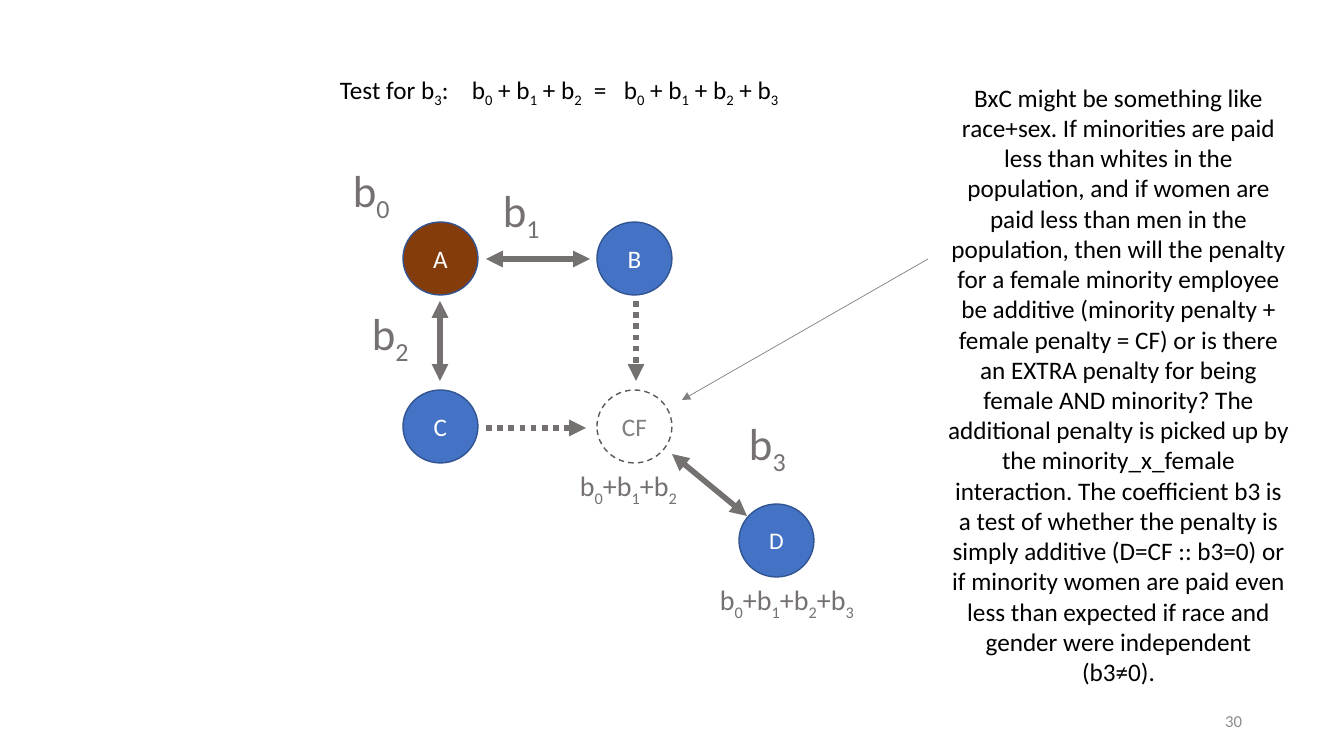
from lxml.etree import SubElement
from pptx import Presentation
from pptx.dml.color import RGBColor
from pptx.enum.dml import MSO_LINE
from pptx.enum.shapes import MSO_CONNECTOR, MSO_SHAPE
from pptx.enum.text import MSO_ANCHOR, PP_ALIGN
from pptx.oxml.ns import qn
from pptx.util import Pt

COLORS = {
    "brown": "843C0B", "blue": "4472C4", "outline": "325491", "white": "FFFFFF",
    "gray": "767171", "dash": "595959", "mid": "808080", "black": "000000",
    "number": "8C8C8C",
}

# Content: an underscore in a formula lowers the character after it
COLUMNS, ROWS = (403, 597), (222, 390)
NODE_WIDTH, NODE_HEIGHT = 75, 73
NODES = [  # text, left, top, fill, line, font colour, size
    ("A", COLUMNS[0], ROWS[0], "brown", "outline", "white", 18),
    ("B", COLUMNS[1], ROWS[0], "blue", "outline", "white", 18),
    ("C", COLUMNS[0], ROWS[1], "blue", "outline", "white", 18),
    ("D", 739, 504, "blue", "outline", "white", 17),
    ("CF", COLUMNS[1], ROWS[1], None, "dash", "mid", 18),
]
ARROWS = [  # start, end, colour, width, dotted, two-headed
    ((486, 259), (590, 259), "gray", 4, False, True),
    ((672, 454), (747, 516), "gray", 4, False, True),
    ((440, 301), (440, 381), "gray", 4, False, True),
    ((636, 301), (636, 381), "gray", 4, True, False),
    ((486, 428), (586, 428), "gray", 4, True, False),
    ((928, 259), (682, 400), "mid", 0.5, False, False),
]
FORMULAS = [  # text, left, top, width, height, size, colour
    ("b_0", 343, 158, 59, 65, 32, "gray"),
    ("b_1", 493, 178, 59, 65, 32, "gray"),
    ("b_2", 362, 301, 59, 65, 32, "gray"),
    ("b_3", 739, 411, 59, 65, 32, "gray"),
    ("b_0+b_1+b_2", 570, 464, 122, 44, 20, "gray"),
    ("b_0+b_1+b_2+b_3", 710, 578, 165, 44, 20, "gray"),
]
TEST = ("Test for b_3:\tb_0 + b_1 + b_2\t=\tb_0 + b_1 + b_2 + b_3",
        330, 69, 475, 40, 18, "black")
TEST_TABS = (132, 254, 284)
NOTE = (
    "BxC might be something like race+sex. If minorities are paid less than "
    "whites in the population, and if women are paid less than men in the "
    "population, then will the penalty for a female minority employee be "
    "additive (minority penalty + female penalty = CF) or is there an EXTRA "
    "penalty for being female AND minority? The additional penalty is picked "
    "up by the minority_x_female interaction. The coefficient b3 is a test of "
    "whether the penalty is simply additive (D=CF :: b3=0) or if minority "
    "women are paid even less than expected if race and gender were "
    "independent (b3≠0)."
)
SLIDE_NUMBER = "30"

EMU_PER_PX = 914400 / 100.8


def px(value):
    return round(value * EMU_PER_PX)


def color(name):
    return RGBColor.from_string(COLORS[name])


def set_font(paragraph, size, color_name):
    paragraph.font.name = "Calibri"
    paragraph.font.size = Pt(size)
    paragraph.font.color.rgb = color(color_name)


def add_text_box(left, top, width, height, wrap):
    box = slide.shapes.add_textbox(px(left), px(top), px(width), px(height))
    box.text_frame.word_wrap = wrap
    return box.text_frame


def add_formula(text, left, top, width, height, size, color_name, tabs=()):
    frame = add_text_box(left, top, width, height, bool(tabs))
    paragraph = frame.paragraphs[0]
    if tabs:
        tab_list = SubElement(paragraph._p.get_or_add_pPr(), qn("a:tabLst"))
        for position in tabs:
            SubElement(tab_list, qn("a:tab"), pos=str(px(position)), algn="l")
    set_font(paragraph, size, color_name)
    first, *pieces = text.split("_")
    paragraph.add_run().text = first
    for piece in pieces:
        subscript = paragraph.add_run()
        subscript.text = piece[0]
        subscript.font._element.set("baseline", "-25000")
        if piece[1:]:
            paragraph.add_run().text = piece[1:]


def add_paragraph_box(text, box, size, color_name, alignment, anchor):
    frame = add_text_box(*box, True)
    frame.vertical_anchor = anchor
    paragraph = frame.paragraphs[0]
    paragraph.text = text
    paragraph.alignment = alignment
    set_font(paragraph, size, color_name)


def add_node(text, left, top, fill, line, font_color, size):
    shape = slide.shapes.add_shape(
        MSO_SHAPE.OVAL, px(left), px(top), px(NODE_WIDTH), px(NODE_HEIGHT))
    shape.shadow.inherit = False
    shape.line.color.rgb = color(line)
    shape.line.width = Pt(1)
    if fill:
        shape.fill.solid()
        shape.fill.fore_color.rgb = color(fill)
    else:
        shape.fill.background()
        shape.line.dash_style = MSO_LINE.DASH
    frame = shape.text_frame
    frame.word_wrap = False
    frame.vertical_anchor = MSO_ANCHOR.MIDDLE
    paragraph = frame.paragraphs[0]
    paragraph.text = text
    paragraph.alignment = PP_ALIGN.CENTER
    set_font(paragraph, size, font_color)


def add_arrow(start, end, color_name, width, dotted, two_headed):
    connector = slide.shapes.add_connector(
        MSO_CONNECTOR.STRAIGHT, *map(px, start + end))
    connector.line.color.rgb = color(color_name)
    connector.line.width = Pt(width)
    if dotted:
        connector.line.dash_style = MSO_LINE.ROUND_DOT
    properties = connector._element.spPr
    line = properties.find(qn("a:ln"))
    for tag in ("a:headEnd", "a:tailEnd") if two_headed else ("a:tailEnd",):
        SubElement(line, qn(tag), type="triangle")
    SubElement(properties, qn("a:effectLst"))


presentation = Presentation()
presentation.slide_width, presentation.slide_height = px(1344), px(756)
slide = presentation.slides.add_slide(presentation.slide_layouts[6])

# Diagram
for node in NODES:
    add_node(*node)
for arrow in ARROWS:
    add_arrow(*arrow)
for formula in FORMULAS:
    add_formula(*formula)

# Test equation, explanation and slide number
add_formula(*TEST, tabs=TEST_TABS)
add_paragraph_box(NOTE, (938, 77, 361, 621), 18, "black",
                  PP_ALIGN.CENTER, MSO_ANCHOR.TOP)
add_paragraph_box(SLIDE_NUMBER, (950, 701, 302, 40), 12, "number",
                  PP_ALIGN.RIGHT, MSO_ANCHOR.MIDDLE)

presentation.save("out.pptx")
